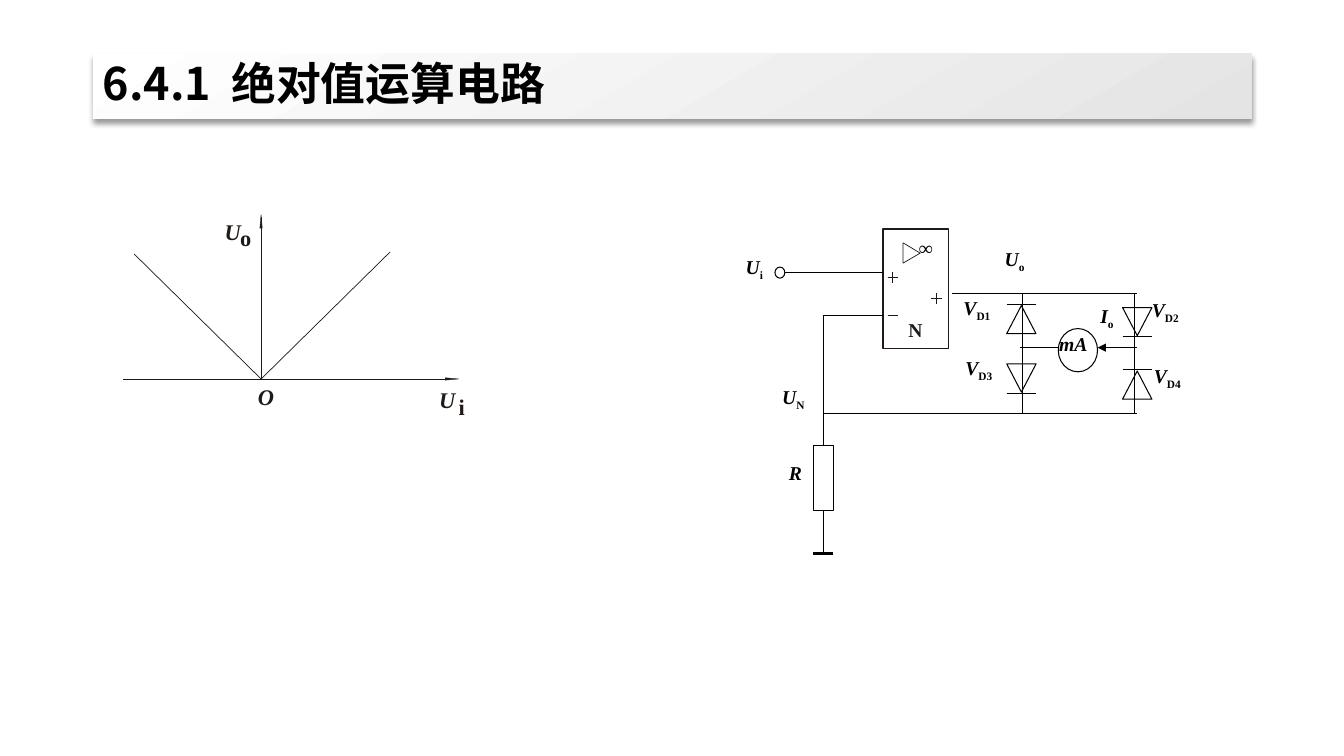
from pptx import Presentation
from pptx.dml.color import RGBColor
from pptx.enum.shapes import MSO_CONNECTOR as Link, MSO_SHAPE as Preset
from pptx.enum.text import MSO_ANCHOR as Anchor, PP_ALIGN as Align
from pptx.oxml.ns import qn
from pptx.util import Cm, Pt
from lxml.etree import SubElement

BLACK = RGBColor(0x00, 0x00, 0x00)
INK = RGBColor(0x1F, 0x1A, 0x17)
DIODE_INK = RGBColor(0x03, 0x03, 0x01)
WHITE = RGBColor(0xFF, 0xFF, 0xFF)
GREY = RGBColor(0xE4, 0xE4, 0xE4)
TITLE_FONT, LABEL_FONT = "Noto Sans CJK SC", "Times New Roman"

# Content; all lengths in centimetres
TITLE = ("6.4.1", "绝对值运算电路")
TITLE_BOX = (2.34, 1.35, 29.21, 1.65)

ORIGIN = (6.58, 9.55)
CURVE_LINES = [  # x axis, y axis, falling arm, rising arm
    ((3.1, 9.55), (11.3, 9.55)),
    (ORIGIN, (6.58, 5.46)),
    (ORIGIN, (3.38, 6.4)),
    (ORIGIN, (9.83, 6.35)),
]
AXIS_TIPS = [((6.58, 5.41), (0, 1)), ((11.56, 9.55), (-1, 0))]  # tip, way back
TIP_LENGTH, TIP_HALF = 0.34, 0.03
CURVE_LABELS = [  # text, italic, left, top
    ("U", True, 5.66, 5.49), ("o", False, 6.05, 5.64), ("O", True, 6.5, 9.65),
    ("U", True, 11.07, 9.73), ("i", False, 11.56, 9.91),
]

AMPLIFIER = (22.25, 5.77, 1.65, 3.02)
GAIN_MARK = [(23.19, 6.38), (22.76, 6.63), (22.76, 6.12)]
SIGNS = [("-", 22.5, 7.95), ("+", 22.5, 6.99), ("+", 23.6, 7.52)]
SIGN_HALF = 0.13
TERMINAL = (19.53, 6.73, 0.25, 0.28)
METER = (26.67, 8.28, 0.99, 1.09)
FEEDBACK_X = 20.75
RESISTOR = (FEEDBACK_X - 0.25, 11.23, 0.5, 1.63)
GROUND_Y = 13.94
TOP_RAIL, BOTTOM_RAIL, METER_Y = 7.39, 10.41, 8.76
BRANCHES = (25.76, 28.6)
RAIL_END = 28.65
WIRES = [
    ((22.25, 6.86), (19.78, 6.86)),
    ((22.25, 7.95), (FEEDBACK_X, 7.95)),
    ((23.98, TOP_RAIL), (RAIL_END, TOP_RAIL)),
    ((FEEDBACK_X, BOTTOM_RAIL), (RAIL_END, BOTTOM_RAIL)),
    *[((x, TOP_RAIL), (x, BOTTOM_RAIL)) for x in BRANCHES],
    ((25.7, METER_Y), (26.67, METER_Y)),
]
DIODES = [  # centre x, top, points up
    (25.74, 7.7, True), (25.74, 9.17, False),
    (28.66, 7.75, False), (28.66, 9.35, True),
]
DIODE_W, DIODE_H, BAR_GAP = 0.74, 0.71, 0.03
CIRCUIT_LABELS = [  # italic part, subscript, left, top, width
    ("U", "i", 18.54, 6.3, 1.47), ("U", "o", 25.07, 6.1, 1.47),
    ("U", "N", 19.46, 9.58, 1.73), ("R", "", 19.63, 11.48, 1.47),
    ("I", "o", 27.48, 7.54, 1.47), ("V", "D1", 24.03, 7.34, 1.73),
    ("V", "D3", 24.08, 8.84, 1.73), ("V", "D2", 28.78, 7.39, 1.73),
    ("V", "D4", 28.83, 9.04, 1.73), ("mA", "", 26.44, 8.23, 1.73),
]


def add_run(paragraph, text, size, color, font=LABEL_FONT, italic=False, baseline=0):
    run = paragraph.add_run()
    run.text = text
    run.font.size, run.font.bold, run.font.italic = Pt(size), True, italic
    run.font.name, run.font.color.rgb = font, color
    props = run.font._element
    SubElement(props, qn("a:ea")).set("typeface", font)
    if baseline:
        props.set("baseline", str(baseline * 1000))
    return props


def add_line(part, start, end, color=BLACK, width=0.75, arrow=False):
    line = part.shapes.add_connector(Link.STRAIGHT, *map(Cm, (*start, *end)))
    line.line.color.rgb, line.line.width = color, Pt(width)
    if arrow:
        SubElement(line.line._ln, qn("a:tailEnd")).set("type", "triangle")
    SubElement(line._element.spPr, qn("a:effectLst"))
    return line


def outline(shape, color, width):
    shape.shadow.inherit = False
    shape.fill.background()
    shape.line.color.rgb, shape.line.width = color, Pt(width)
    return shape


def add_outline(part, preset, box, color=BLACK, width=0.75):
    return outline(part.shapes.add_shape(preset, *map(Cm, box)), color, width)


def add_polygon(part, points, width):
    points = [(Cm(x), Cm(y)) for x, y in points]
    builder = part.shapes.build_freeform(*points[0], scale=1.0)
    builder.add_line_segments(points[1:], close=True)
    return outline(builder.convert_to_shape(), INK, width)


def add_label(part, box, tight=False):
    frame = part.shapes.add_textbox(*map(Cm, box)).text_frame
    frame.word_wrap = not tight
    if tight:
        frame.margin_left = frame.margin_right = 0
        frame.margin_top = frame.margin_bottom = 0
    return frame.paragraphs[0]


def add_title(slide):
    bar = slide.shapes.add_shape(Preset.RECTANGLE, *map(Cm, TITLE_BOX))
    bar.line.fill.background()
    bar.fill.gradient()
    bar.fill.gradient_angle = 300
    for stop, color, place in zip(bar.fill.gradient_stops, (WHITE, GREY), (0, 1)):
        stop.color.rgb, stop.position = color, place
    effects = SubElement(bar._element.spPr, qn("a:effectLst"))
    shadow = SubElement(effects, qn("a:outerShdw"), blurRad=str(Pt(4)),
                        dist=str(Pt(3)), dir="5400000", algn="t", rotWithShape="0")
    shade = SubElement(shadow, qn("a:srgbClr"), val="000000")
    SubElement(shade, qn("a:alpha"), val="40000")
    frame = bar.text_frame
    frame.word_wrap, frame.vertical_anchor = True, Anchor.MIDDLE
    heading = frame.paragraphs[0]
    heading.alignment, heading.line_spacing = Align.LEFT, 0.9
    number, name = TITLE
    add_run(heading, number, 32, BLACK, TITLE_FONT)
    add_run(heading, " ", 32, BLACK, TITLE_FONT).set("spc", "700")  # wide gap
    add_run(heading, name, 32, BLACK, TITLE_FONT)


def add_curve(slide):
    curve = slide.shapes.add_group_shape()
    for start, end in CURVE_LINES:
        add_line(curve, start, end, INK, 0.5)
    for (x, y), (dx, dy) in AXIS_TIPS:
        base_x, base_y = x + dx * TIP_LENGTH, y + dy * TIP_LENGTH
        side_x, side_y = dy * TIP_HALF, dx * TIP_HALF
        tip = add_polygon(curve, [(x, y), (base_x - side_x, base_y - side_y),
                                  (base_x + side_x, base_y + side_y)], 0.25)
        tip.fill.solid()
        tip.fill.fore_color.rgb = INK
    for text, italic, left, top in CURVE_LABELS:
        add_run(add_label(curve, (left, top, 0.41, 0.69), True), text, 16, INK, italic=italic)


def add_circuit(slide):
    circuit = slide.shapes.add_group_shape()

    # Amplifier
    add_outline(circuit, Preset.RECTANGLE, AMPLIFIER, INK, 0.95)
    add_polygon(circuit, GAIN_MARK, 0.5)
    for sign, x, y in SIGNS:
        add_line(circuit, (x - SIGN_HALF, y), (x + SIGN_HALF, y), INK, 0.5)
        if sign == "+":
            add_line(circuit, (x, y - SIGN_HALF), (x, y + SIGN_HALF), INK, 0.5)
    add_run(add_label(circuit, (22.89, 8, 0.41, 0.76), True), "N", 14, INK)
    add_run(add_label(circuit, (22.91, 5.82, 1.24, 1.09)), "∞", 14, BLACK)

    # Wires, terminal and meter
    for start, end in WIRES:
        add_line(circuit, start, end)
    add_line(circuit, (RAIL_END, METER_Y), (27.66, METER_Y), arrow=True)
    for ring in (TERMINAL, METER):
        add_outline(circuit, Preset.OVAL, ring)

    # Resistor to ground
    resistor = add_outline(circuit, Preset.RECTANGLE, RESISTOR)
    top, bottom = RESISTOR[1], RESISTOR[1] + RESISTOR[3]
    add_line(circuit, (FEEDBACK_X, 7.95), (FEEDBACK_X, top)).end_connect(resistor, 0)
    add_line(circuit, (FEEDBACK_X, bottom), (FEEDBACK_X, GROUND_Y)).begin_connect(resistor, 2)
    add_line(circuit, (FEEDBACK_X - 0.25, GROUND_Y), (FEEDBACK_X + 0.25, GROUND_Y), width=2.25)

    # Diode bridge
    for x, top, points_up in DIODES:
        left = x - DIODE_W / 2
        diode = add_outline(circuit, Preset.ISOSCELES_TRIANGLE,
                            (left, top, DIODE_W, DIODE_H), DIODE_INK)
        diode.rotation = 0 if points_up else 180
        bar = top - BAR_GAP if points_up else top + DIODE_H + BAR_GAP
        add_line(circuit, (left, bar), (left + DIODE_W, bar), DIODE_INK)

    # Labels
    for symbol, subscript, left, top, width in CIRCUIT_LABELS:
        label = add_label(circuit, (left, top, width, 1.09))
        add_run(label, symbol, 14, BLACK, italic=True)
        if subscript:
            add_run(label, subscript, 14, BLACK, baseline=-25)


def main():
    deck = Presentation()
    deck.slide_width, deck.slide_height = Cm(33.87), Cm(19.05)
    slide = deck.slides.add_slide(deck.slide_layouts[6])
    add_title(slide)
    add_curve(slide)
    add_circuit(slide)
    deck.save("out.pptx")


if __name__ == "__main__":
    main()
